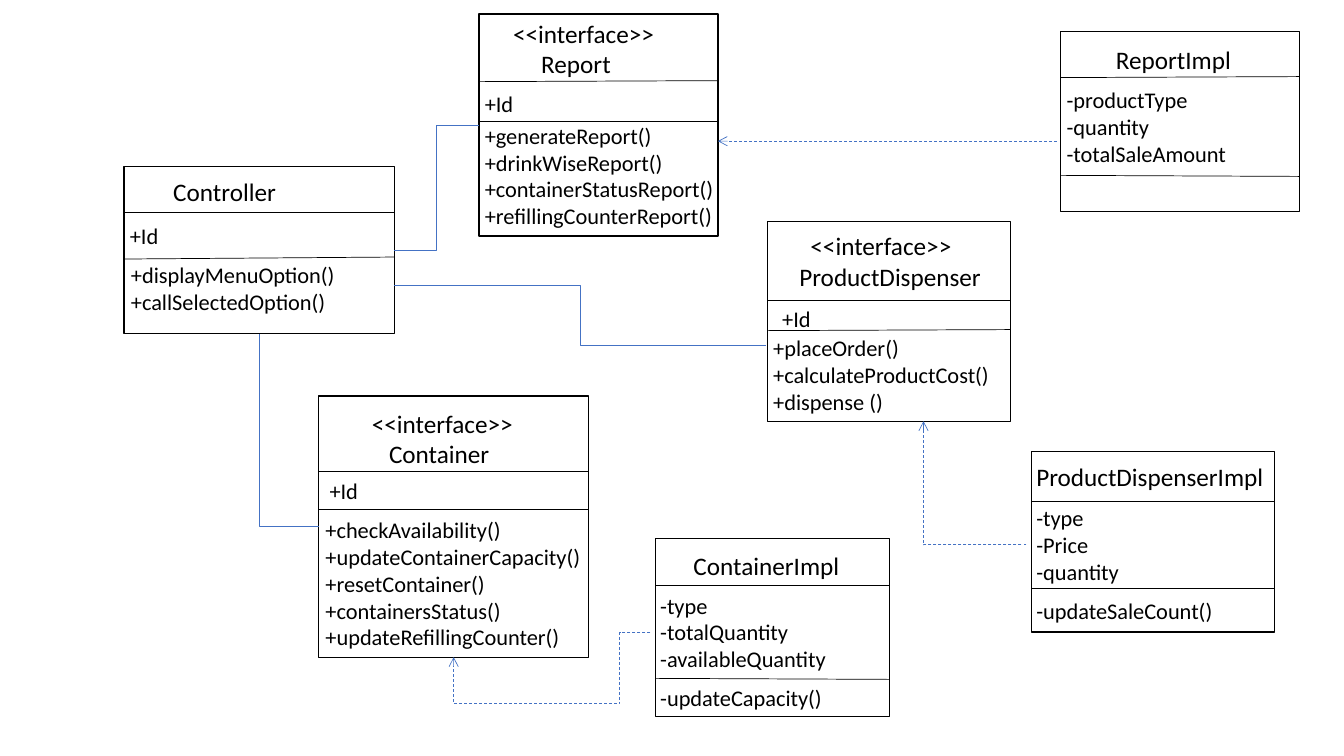
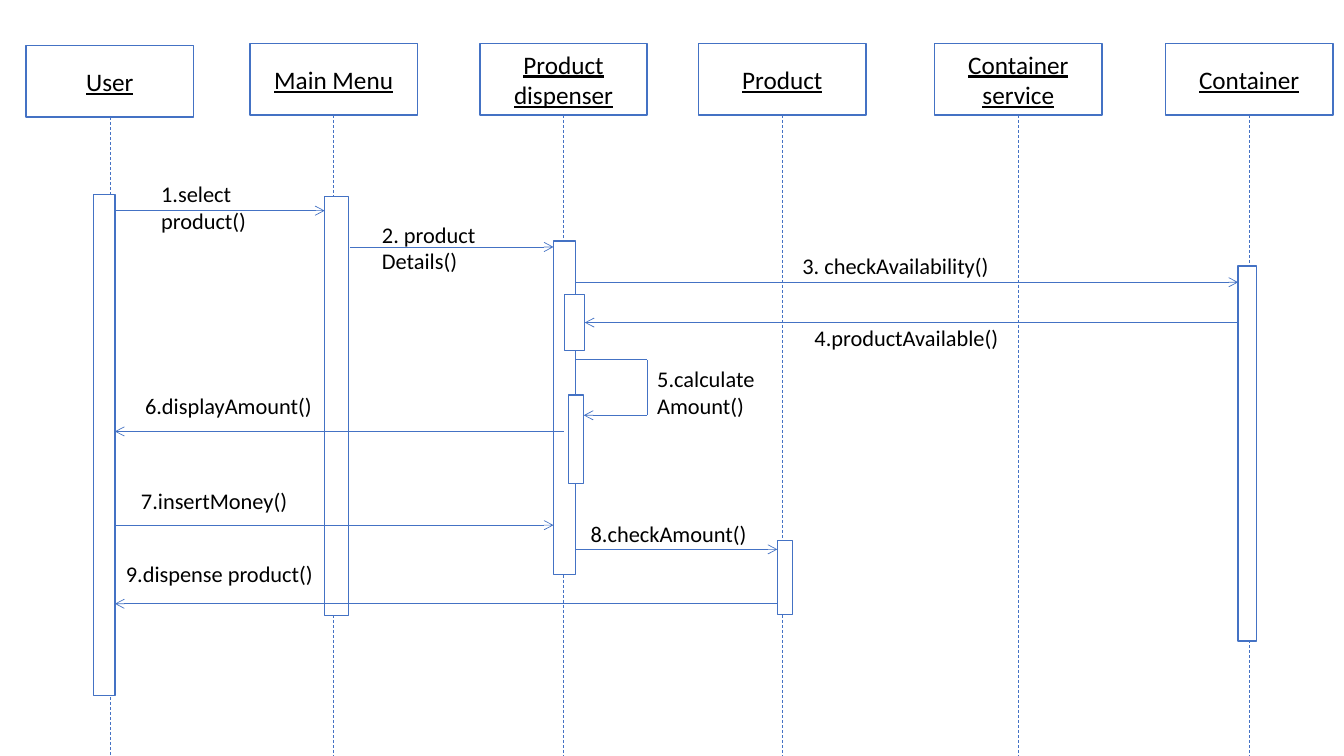
"""Build a class diagram and a sequence diagram for a vending machine."""
from lxml.etree import SubElement
from pptx import Presentation
from pptx.dml.color import RGBColor
from pptx.enum.dml import MSO_LINE
from pptx.enum.shapes import MSO_CONNECTOR as LINK, MSO_SHAPE as SHAPE
from pptx.enum.text import MSO_ANCHOR, PP_ALIGN
from pptx.oxml.ns import qn
from pptx.util import Inches, Pt

BLACK, BLUE, WHITE = "000000", "4472C4", "FFFFFF"
hex_color = RGBColor.from_string


def add_box(page, place, lines=(), size=16, outline=None, kind=SHAPE.RECTANGLE):
    """Add an outlined shape, or a plain text box when no outline is given."""
    place = [Inches(value) for value in place]
    if outline:
        box = page.shapes.add_shape(kind, *place)
        box.shadow.inherit = False
        box.fill.solid()
        box.fill.fore_color.rgb = hex_color(WHITE)
        box.line.color.rgb = hex_color(outline)
        box.line.width = Pt(1)
    else:
        box = page.shapes.add_textbox(*place)
    frame = box.text_frame
    frame.word_wrap = True
    for index, line in enumerate(lines):
        para = frame.add_paragraph() if index else frame.paragraphs[0]
        para.text = line
        para.font.name = "Calibri"
        para.font.size = Pt(size)
        para.font.color.rgb = hex_color(BLACK)
    return box


def add_link(page, start, end, color=BLUE, kind=LINK.STRAIGHT, dashed=False,
             arrow=False, begin_at=None, end_at=None):
    """Add a thin connector, joined to (shape, side) pairs where given."""
    link = page.shapes.add_connector(kind, *[Inches(v) for v in (*start, *end)])
    if begin_at:
        link.begin_connect(*begin_at)
    if end_at:
        link.end_connect(*end_at)
    link.line.color.rgb = hex_color(color)
    link.line.width = Pt(0.5)
    if dashed:
        link.line.dash_style = MSO_LINE.DASH
    properties = link._element.spPr
    if arrow:
        SubElement(properties.find(qn("a:ln")), qn("a:tailEnd"), type="arrow")
    SubElement(properties, qn("a:effectLst"))
    return link


deck = Presentation()
deck.slide_width, deck.slide_height = Inches(13.33), Inches(7.5)
blank = deck.slide_layouts[6]

page = deck.slides.add_slide(blank)
INTERFACE = "<<interface>>"
classes = [
    {"name": "Controller", "place": (1.23, 1.65, 2.68, 1.66),
     "dividers": [(2.11, 2.11), (2.57, 2.55)],
     "title": (1.62, 1.7, [(0, "Controller")]),
     "sections": [(1.19, 2.15, 1, ["+Id"]),
                  (1.2, 2.54, 2.71, ["+displayMenuOption()", "+callSelectedOption()"])]},
    {"name": "ProductDispenser", "place": (7.61, 2.2, 2.41, 1.98),
     "dividers": [(2.98, 2.98), (3.28, 3.27)],
     "title": (7.83, 2.24, [(0.11, INTERFACE), (0, "ProductDispenser")]),
     "sections": [(7.66, 2.98, 1, ["+Id"]),
                  (7.57, 3.27, 3.18, ["+placeOrder()", "+calculateProductCost()",
                                      "+dispense ()"])]},
    {"name": "Container", "place": (3.16, 3.93, 2.68, 2.59),
     "dividers": [(4.68, 4.68), (5.05, 5.05)],
     "title": (3.59, 4, [(0, INTERFACE), (0.17, "Container")]),
     "sections": [(3.17, 4.68, 1, ["+Id"]),
                  (3.13, 5.07, 2.97, ["+checkAvailability()", "+updateContainerCapacity()",
                                      "+resetContainer()", "+containersStatus()",
                                      "+updateRefillingCounter()"])]},
    {"name": "Report", "place": (4.75, 0.14, 2.37, 2.2),
     "dividers": [(0.81, 0.8), (1.2, 1.2)],
     "title": (4.99, 0.13, [(0, INTERFACE), (0.28, "Report")]),
     "sections": [(4.71, 0.85, 1, ["+Id"]),
                  (4.71, 1.16, 2.68, ["+generateReport()", "+drinkWiseReport()",
                                      "+containerStatusReport()",
                                      "+refillingCounterReport()"])]},
    {"name": "ContainerImpl", "place": (6.5, 5.34, 2.32, 1.77),
     "dividers": [(5.81, 5.81), (6.73, 6.74)],
     "title": (6.78, 5.41, [(0, "ContainerImpl")]),
     "sections": [(6.45, 5.82, 2.4, ["-type", "-totalQuantity", "-availableQuantity"]),
                  (6.45, 6.74, 2.97, ["-updateCapacity()"])]},
    {"name": "ProductDispenserImpl", "place": (10.23, 4.48, 2.41, 1.79),
     "dividers": [(4.97, 4.97), (5.84, 5.84)],
     "title": (10.18, 4.53, [(0, "ProductDispenserImpl")]),
     "sections": [(10.18, 4.95, 2, ["-type", "-Price", "-quantity"]),
                  (10.18, 5.88, 2.68, ["-updateSaleCount()"])]},
    {"name": "ReportImpl", "place": (10.52, 0.31, 2.37, 1.79),
     "dividers": [(0.77, 0.76), (1.74, 1.75)],
     "title": (10.97, 0.39, [(0, "ReportImpl")]),
     "sections": [(10.48, 0.81, 2.4, ["-productType", "-quantity", "-totalSaleAmount"])]},
]
boxes, sections = {}, {}
for item in classes:
    name = item["name"]
    left, top, width, height = item["place"]
    boxes[name] = add_box(page, item["place"], outline=BLACK, kind=SHAPE.FLOWCHART_PROCESS)
    for left_y, right_y in item["dividers"]:
        add_link(page, (left, left_y), (left + width, right_y), BLACK)
    title_left, title_top, title_lines = item["title"]
    title = add_box(page, (title_left, title_top, 2.6, 0.1 + 0.3 * len(title_lines)),
                    [line for indent, line in title_lines], 18)
    for para, (indent, line) in zip(title.text_frame.paragraphs, title_lines):
        para._p.get_or_add_pPr().set("marL", str(Inches(indent)))
    sections[name] = [
        add_box(page, (x, y, wide, 0.1 + 0.27 * len(lines)), lines)
        for x, y, wide, lines in item["sections"]]

add_link(page, (3.91, 2.48), (4.75, 1.24), kind=LINK.ELBOW,
         begin_at=(boxes["Controller"], 3), end_at=(boxes["Report"], 1))
add_link(page, (3.91, 2.83), (7.6, 3.43), kind=LINK.ELBOW)
add_link(page, (10.48, 1.4), (7.12, 1.4), dashed=True, arrow=True)

bends = [
    ("bentConnector2", (3.16, 5.22), (2.57, 3.31), False,
     (boxes["Container"], 1), (boxes["Controller"], 2), []),
    ("bentConnector2", (10.18, 5.4), (9.16, 4.18), True,
     (sections["ProductDispenserImpl"][0], 1), (sections["ProductDispenser"][1], 2), []),
    ("bentConnector4", (6.45, 6.27), (4.5, 6.52), True,
     (sections["ContainerImpl"][0], 1), (boxes["Container"], 2), [15600, 289000]),
]
for preset, start, end, realizes, begin_at, end_at, adjustments in bends:
    link = add_link(page, start, end, kind=LINK.ELBOW, dashed=realizes, arrow=realizes,
                    begin_at=begin_at, end_at=end_at)
    geometry = link._element.spPr.find(qn("a:prstGeom"))
    geometry.set("prst", preset)
    for number, value in enumerate(adjustments, 1):
        SubElement(geometry.find(qn("a:avLst")), qn("a:gd"),
                   name=f"adj{number}", fmla=f"val {value}")

page = deck.slides.add_slide(blank)
HEADER_WIDTH, HEADER_HEIGHT = 1.66, 0.71
participants = [
    ("User", 0.26, 0.45), ("Main Menu", 2.48, 0.43), ("Product dispenser", 4.76, 0.43),
    ("Product", 6.93, 0.43), ("Container service", 9.27, 0.43), ("Container", 11.56, 0.43),
]
for name, left, top in participants:
    header = add_box(page, (left, top, HEADER_WIDTH, HEADER_HEIGHT), [name], 18, BLUE)
    header.text_frame.vertical_anchor = MSO_ANCHOR.MIDDLE
    para = header.text_frame.paragraphs[0]
    para.alignment = PP_ALIGN.CENTER
    para.font.underline = True
    middle = left + HEADER_WIDTH / 2
    add_link(page, (middle, top + HEADER_HEIGHT), (middle, 7.5), dashed=True,
             begin_at=(header, 2))

activations = {
    "user": (0.93, 1.93, 0.21, 4.97),
    "menu": (3.22, 1.95, 0.24, 4.16),
    "dispenser": (5.49, 2.39, 0.22, 3.31),
    "product": (7.71, 5.36, 0.15, 0.74),
    "container": (12.28, 2.64, 0.18, 3.72),
    "availability": (5.6, 2.92, 0.2, 0.56),
    "amount": (5.64, 3.92, 0.15, 0.88),
}
bars = {name: add_box(page, place, outline=BLUE) for name, place in activations.items()}

messages = [
    (1.14, 3.22, 2.09), (3.47, 5.49, 2.45), (5.71, 12.28, 2.8),
    (6.42, 5.79, 4.12), (5.59, 1.14, 4.28), (1.14, 5.49, 5.21),
    (5.71, 7.71, 5.45), (7.71, 1.14, 5.99),
]
for start_x, end_x, y in messages:
    add_link(page, (start_x, y), (end_x, y), arrow=True)
add_link(page, (12.28, 3.2), (5.8, 3.2), arrow=True, end_at=(bars["availability"], 3))
add_link(page, (5.71, 3.57), (6.42, 3.57))
add_link(page, (6.42, 3.57), (6.42, 4.12))

labels = [
    ("1.select product()", 1.5, 1.74, 1.38, 0.64),
    ("2. product Details()", 3.69, 2.14, 1.66, 0.64),
    ("3. checkAvailability()", 7.86, 2.45, 3.43, 0.37),
    ("4.productAvailable()", 7.98, 3.17, 3.43, 0.37),
    ("5.calculate Amount()", 6.42, 3.57, 1.19, 0.64),
    ("6.displayAmount()", 1.34, 3.84, 1.97, 0.37),
    ("7.insertMoney()", 1.3, 4.78, 1.97, 0.37),
    ("8.checkAmount()", 5.76, 5.11, 2.02, 0.37),
    ("9.dispense product()", 1.15, 5.51, 3.03, 0.37),
]
for label, *place in labels:
    add_box(page, place, [label])

deck.save("out.pptx")
